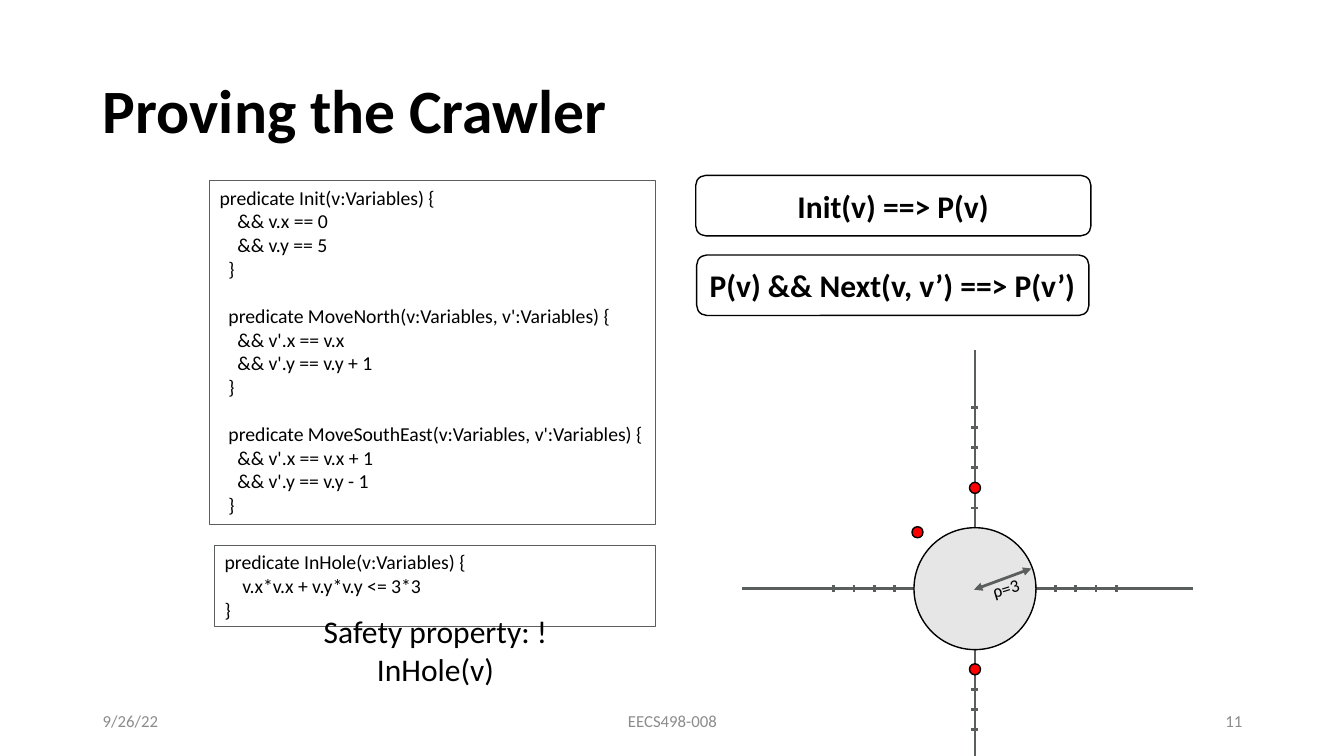
from pptx import Presentation
from pptx.dml.color import RGBColor
from pptx.enum.shapes import MSO_CONNECTOR as Connector, MSO_SHAPE as Shape
from pptx.enum.text import MSO_ANCHOR as Anchor, MSO_AUTO_SIZE as AutoSize, PP_ALIGN as Align
from pptx.oxml.ns import qn
from pptx.util import Inches, Pt
from lxml.etree import SubElement

FONT = "Calibri"
COLORS = {
    "black": "000000",
    "white": "FFFFFF",
    "axis": "5A5F5E",
    "hole": "E7E6E6",
    "crawler": "FF0000",
    "footer": "8C8C8C",
}

ORIGIN_X, ORIGIN_Y = 9.67, 5.84
UNIT = 0.2
HOLE_SIZE = 1.21
CRAWLER_SIZE = 0.11
TICK_HALF = 0.035

MOVES_CODE = """predicate Init(v:Variables) {
    && v.x == 0
    && v.y == 5
  }

  predicate MoveNorth(v:Variables, v':Variables) {
    && v'.x == v.x
    && v'.y == v.y + 1
  }

  predicate MoveSouthEast(v:Variables, v':Variables) {
    && v'.x == v.x + 1
    && v'.y == v.y - 1
  }"""

HOLE_CODE = """predicate InHole(v:Variables) {
    v.x*v.x + v.y*v.y <= 3*3
}"""


def rgb(name):
    return RGBColor.from_string(COLORS[name])


def write(box, text, size, color="black", bold=False, align=Align.LEFT,
          anchor=Anchor.MIDDLE, margin=None, spacing=None):
    """Fill a shape with text, one paragraph a line."""
    frame = box.text_frame
    frame.text = text
    frame.word_wrap = True
    frame.auto_size = AutoSize.NONE
    frame.vertical_anchor = anchor
    if margin is not None:
        frame.margin_left = frame.margin_right = Inches(margin)
        frame.margin_top = frame.margin_bottom = Inches(margin)
    for para in frame.paragraphs:
        para.alignment = align
        if spacing:
            para.line_spacing = spacing
        para.font.size = Pt(size)
        for span in para.runs:
            span.font.name = FONT
            span.font.size = Pt(size)
            span.font.bold = bold
            span.font.color.rgb = rgb(color)


def add_text(page, text, left, top, width, height, **style):
    box = page.shapes.add_textbox(Inches(left), Inches(top), Inches(width), Inches(height))
    write(box, text, **style)
    return box


def add_box(page, kind, left, top, width, height, fill=None, line="black", weight=1):
    box = page.shapes.add_shape(kind, Inches(left), Inches(top), Inches(width), Inches(height))
    box.shadow.inherit = False
    if fill:
        box.fill.solid()
        box.fill.fore_color.rgb = rgb(fill)
    else:
        box.fill.background()
    box.line.color.rgb = rgb(line)
    box.line.width = Pt(weight)
    return box


def add_line(page, x1, y1, x2, y2, arrows=False):
    line = page.shapes.add_connector(
        Connector.STRAIGHT, Inches(x1), Inches(y1), Inches(x2), Inches(y2))
    line.line.color.rgb = rgb("axis")
    line.line.width = Pt(2)
    if arrows:
        outline = line.line._get_or_add_ln()
        for end in ("a:headEnd", "a:tailEnd"):
            SubElement(outline, qn(end), type="triangle")
    SubElement(line._element.spPr, qn("a:effectLst"))


def add_code(page, code, left, top, width, height):
    box = add_box(page, Shape.RECTANGLE, left, top, width, height, line="axis", weight=0.75)
    write(box, code, size=14.1, anchor=Anchor.TOP)


def add_rule(page, text, left, top, width, align):
    box = add_box(page, Shape.ROUNDED_RECTANGLE, left, top, width, 0.6, fill="white")
    write(box, text, size=22.5, bold=True, align=align)


def add_disc(page, x, y, size, fill):
    """Draw a circle around the point x, y."""
    add_box(page, Shape.OVAL, x - size / 2, y - size / 2, size, size, fill=fill)


def add_ticks(page, dx, dy, last):
    """Mark the units outside the hole along one half of an axis."""
    for step in range(4, last + 1):
        x = ORIGIN_X + dx * step * UNIT
        y = ORIGIN_Y + dy * step * UNIT
        half_x, half_y = abs(dy) * TICK_HALF, abs(dx) * TICK_HALF
        add_line(page, x - half_x, y - half_y, x + half_x, y + half_y)


def add_plane(page):
    add_line(page, ORIGIN_X, 3.47, ORIGIN_X, 7.5)
    add_line(page, 7.36, ORIGIN_Y, 11.83, ORIGIN_Y)
    for dx, dy, last in ((0, -1, 9), (0, 1, 7), (-1, 0, 7), (1, 0, 7)):
        add_ticks(page, dx, dy, last)
    add_disc(page, ORIGIN_X, ORIGIN_Y, HOLE_SIZE, "hole")
    add_line(page, 10.23, 5.64, 9.66, 5.85, arrows=True)
    radius = add_text(page, "ρ=3", 9.76, 5.69, 0.43, 0.29,
                      size=12.7, align=Align.CENTER, margin=0.04)
    radius.rotation = 342.8
    for x, y in ((ORIGIN_X, 4.84), (ORIGIN_X, 6.64), (9.1, 5.28)):
        add_disc(page, x, y, CRAWLER_SIZE, "crawler")


def add_title(page, text):
    title = page.shapes.title
    title.left, title.top = Inches(0.92), Inches(0.4)
    title.width, title.height = Inches(11.5), Inches(1.45)
    write(title, text, size=44, bold=True, spacing=0.9)


def main():
    deck = Presentation()
    deck.slide_width, deck.slide_height = Inches(13.33), Inches(7.5)
    page = deck.slides.add_slide(deck.slide_layouts[5])

    add_title(page, "Proving the Crawler")
    add_plane(page)
    add_code(page, HOLE_CODE, 2.13, 5.41, 4.37, 0.81)
    add_code(page, MOVES_CODE, 2.08, 1.79, 4.42, 3.41)
    add_text(page, "Safety property: !InHole(v)", 2.6, 6.22, 3.44, 0.46,
             size=22.5, align=Align.CENTER, margin=0.04)
    add_rule(page, "Init(v) ==> P(v)", 6.9, 1.74, 3.92, Align.CENTER)
    add_rule(page, "P(v) && Next(v, v’) ==> P(v’)", 6.91, 2.53, 3.89, Align.LEFT)

    for text, left, width, align in (
        ("9/26/22", 0.92, 3, Align.LEFT),
        ("EECS498-008", 4.42, 4.5, Align.CENTER),
        ("11", 9.42, 3, Align.RIGHT),
    ):
        add_text(page, text, left, 6.95, width, 0.4, size=12, color="footer", align=align)

    deck.save("out.pptx")


if __name__ == "__main__":
    main()
